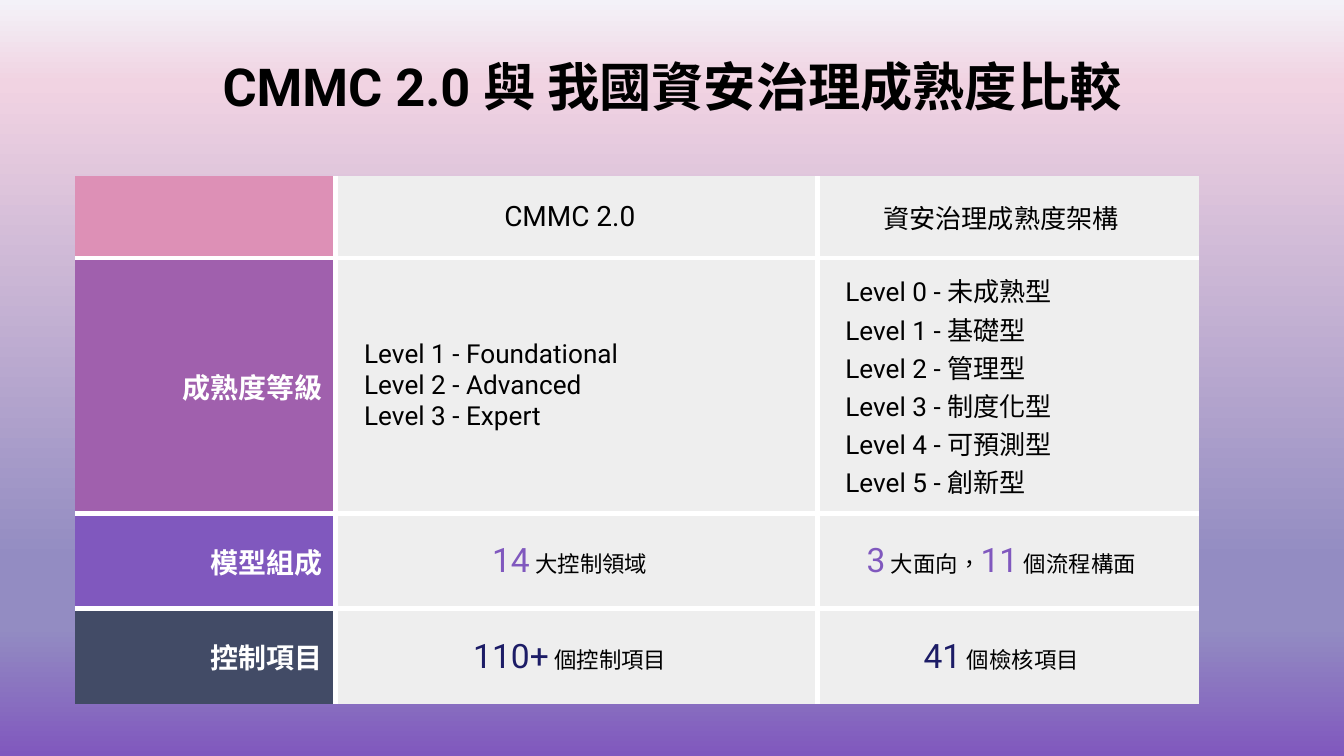
from dataclasses import dataclass

import lxml.etree
import pptx
import pptx.dml.color
import pptx.enum.text
import pptx.oxml.ns
import pptx.util
from pptx.util import Inches

FONT = "Roboto"
LANGUAGE = "zh-TW"
COLORS = {
    "black": "000000",
    "white": "FFFFFF",
    "pink": "DD90B6",
    "plum": "A060AD",
    "violet": "8058BE",
    "slate": "424B66",
    "navy": "1C1C66",
    "gray": "EEEEEE",
}
BACKGROUND_STOPS = [(0, "F3F2F8"), (11, "F1D3E2"), (74, "938CC2"), (83, "938CC2"), (100, "8058BE")]
COLUMN_WIDTHS = [1.94, 3.58, 2.84]
ROW_HEIGHTS = [0.61, 1.7, 0.71, 0.71]
ALIGN = pptx.enum.text.PP_ALIGN
MIDDLE = pptx.enum.text.MSO_ANCHOR.MIDDLE


@dataclass
class Span:
    text: str
    size: float
    color: str = "black"
    bold: bool = False


@dataclass
class CellContent:
    lines: list[list[Span]]
    fill: str = "gray"
    align: ALIGN = ALIGN.CENTER
    left_margin: float = 0.21
    right_margin: float = 0.31


def row_header(text: str, fill: str) -> CellContent:
    return CellContent([[Span(text, 15, "white", True)]], fill, ALIGN.RIGHT, 0.78, 0.1)


def column_header(text: str, size: float) -> CellContent:
    return CellContent([[Span(text, size)]])


def level_list(first: int, names: list[str]) -> CellContent:
    lines = [[Span(f"Level {level} - {name}", 14)] for level, name in enumerate(names, first)]
    return CellContent(lines, align=ALIGN.LEFT)


def counts(color: str, *pairs: tuple[str, str]) -> CellContent:
    spans = []
    for number, label in pairs:
        spans += [Span(number, 18, color), Span(f" {label}", 12)]
    return CellContent([spans])


ROWS = [
    [CellContent([], "pink"), column_header("CMMC 2.0", 15), column_header("資安治理成熟度架構", 14)],
    [
        row_header("成熟度等級", "plum"),
        level_list(1, ["Foundational", "Advanced", "Expert"]),
        level_list(0, ["未成熟型", "基礎型", "管理型", "制度化型", "可預測型", "創新型"]),
    ],
    [
        row_header("模型組成", "violet"),
        counts("violet", ("14", "大控制領域")),
        counts("violet", ("3", "大面向，"), ("11", "個流程構面")),
    ],
    [
        row_header("控制項目", "slate"),
        counts("navy", ("110+", "個控制項目")),
        counts("navy", ("41", "個檢核項目")),
    ],
]


def rgb(name: str) -> pptx.dml.color.RGBColor:
    return pptx.dml.color.RGBColor.from_string(COLORS[name])


def format_run(run, span: Span) -> None:
    run.font.name = FONT
    run.font.size = pptx.util.Pt(span.size)
    run.font.bold = span.bold
    run.font.color.rgb = rgb(span.color)
    run._r.get_or_add_rPr().set("lang", LANGUAGE)


def add_element(parent, tag: str, **attributes: str):
    return lxml.etree.SubElement(parent, pptx.oxml.ns.qn(tag), attributes)


def paint_background(slide) -> None:
    fill = slide.background.fill
    fill.gradient()
    fill.gradient_angle = 270
    stop_list = next(slide.element.iter(pptx.oxml.ns.qn("a:gsLst")))
    for stop in list(stop_list):
        stop_list.remove(stop)
    for position, color in BACKGROUND_STOPS:
        stop = add_element(stop_list, "a:gs", pos=str(position * 1000))
        add_element(stop, "a:srgbClr", val=color)


def set_borders(cell, visible: dict[str, bool]) -> None:
    properties = cell._tc.get_or_add_tcPr()
    for index, (side, shown) in enumerate(visible.items()):
        line = add_element(properties, f"a:ln{side}", w=str(pptx.util.Pt(3)))
        if shown:
            fill = add_element(line, "a:solidFill")
            add_element(fill, "a:srgbClr", val=COLORS["white"])
        else:
            add_element(line, "a:noFill")
        properties.insert(index, line)


def fill_cell(cell, content: CellContent) -> None:
    cell.fill.solid()
    cell.fill.fore_color.rgb = rgb(content.fill)
    cell.vertical_anchor = MIDDLE
    cell.margin_left = Inches(content.left_margin)
    cell.margin_right = Inches(content.right_margin)
    cell.margin_top = cell.margin_bottom = Inches(0.1)
    for index, spans in enumerate(content.lines):
        frame = cell.text_frame
        paragraph = frame.add_paragraph() if index else frame.paragraphs[0]
        paragraph.alignment = content.align
        for span in spans:
            run = paragraph.add_run()
            run.text = span.text
            format_run(run, span)


def add_title(slide, text: str) -> None:
    title = slide.shapes.title
    title.left, title.top = Inches(0.5), Inches(0.32)
    title.width, title.height = Inches(9), Inches(0.63)
    frame = title.text_frame
    frame.text = text
    frame.word_wrap = True
    frame.auto_size = pptx.enum.text.MSO_AUTO_SIZE.NONE
    frame.vertical_anchor = MIDDLE
    frame.margin_left = frame.margin_right = Inches(0.1)
    frame.margin_top = frame.margin_bottom = Inches(0.1)
    paragraph = frame.paragraphs[0]
    paragraph.alignment = ALIGN.CENTER
    format_run(paragraph.runs[0], Span(text, 28, bold=True))


def add_comparison_table(slide) -> None:
    last_row, last_column = len(ROW_HEIGHTS) - 1, len(COLUMN_WIDTHS) - 1
    table = slide.shapes.add_table(
        len(ROW_HEIGHTS), len(COLUMN_WIDTHS), Inches(0.56), Inches(1.31),
        Inches(sum(COLUMN_WIDTHS)), Inches(sum(ROW_HEIGHTS)),
    ).table
    table.first_row = table.horz_banding = False
    for column, width in zip(table.columns, COLUMN_WIDTHS):
        column.width = Inches(width)
    for row, height in zip(table.rows, ROW_HEIGHTS):
        row.height = Inches(height)
    for row, contents in enumerate(ROWS):
        for column, content in enumerate(contents):
            cell = table.cell(row, column)
            fill_cell(cell, content)
            set_borders(cell, {
                "L": column > 0,
                "R": column < last_column,
                "T": row > 0,
                "B": row < last_row,
            })


def main() -> None:
    presentation = pptx.Presentation()
    presentation.slide_width = Inches(10)
    presentation.slide_height = presentation.slide_width * 9 // 16
    slide = presentation.slides.add_slide(presentation.slide_layouts[5])
    paint_background(slide)
    add_comparison_table(slide)
    add_title(slide, "CMMC 2.0 與 我國資安治理成熟度比較")
    presentation.save("out.pptx")


if __name__ == "__main__":
    main()
